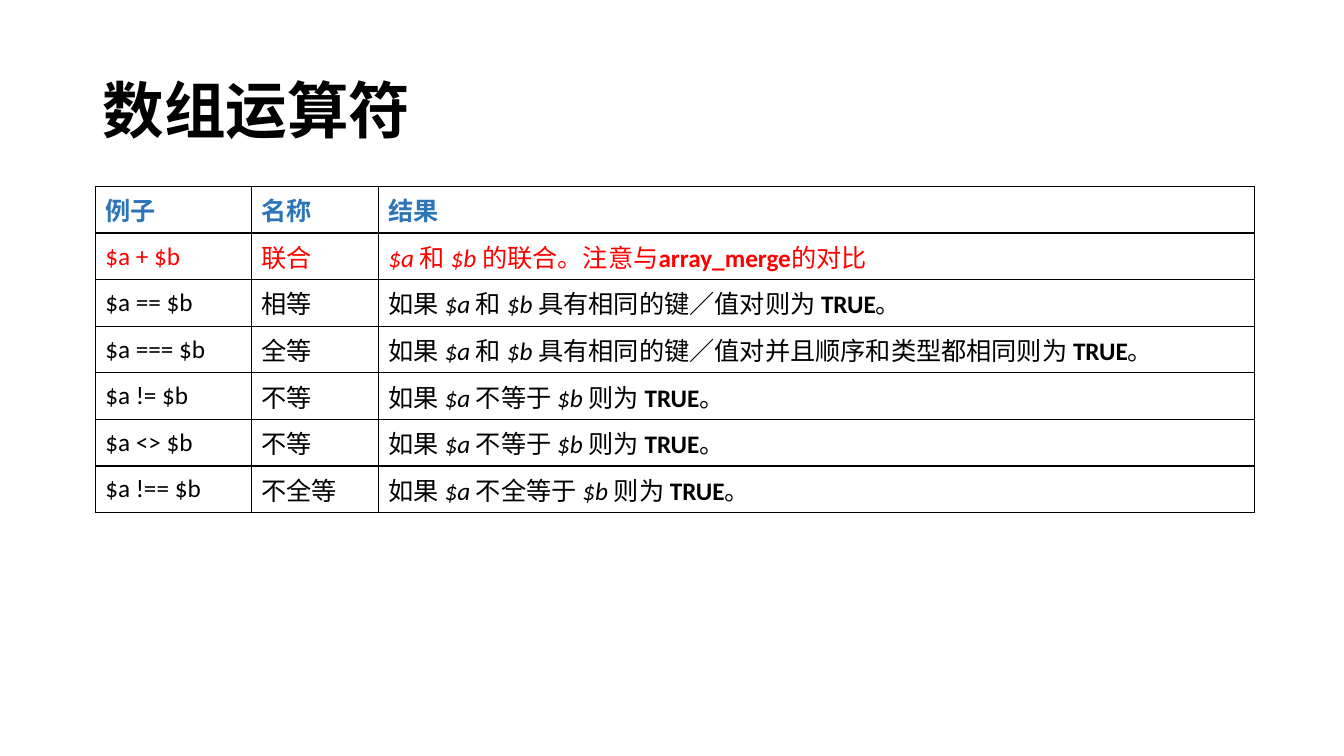
"""Build a slide with a table of the PHP array operators."""
import pptx
import pptx.dml.color
import pptx.enum.text
import pptx.oxml
import pptx.oxml.ns
import pptx.util

Pt = pptx.util.Pt

TITLE = "数组运算符"
HEADER = ("例子", "名称", ("结果",))
OPERATORS = [
    ("$a + $b", "联合", ("$a ", "和 ", "$b ", "的联合。注意与", "array_merge", "的对比")),
    ("$a == $b", "相等", ("如果 ", "$a ", "和 ", "$b ", "具有相同的键／值对则为 ", "TRUE", "。")),
    ("$a === $b", "全等",
     ("如果 ", "$a", " 和 ", "$b", " 具有相同的键／值对并且顺序和类型都相同则为 ", "TRUE", "。")),
    ("$a != $b", "不等", ("如果 ", "$a ", "不等于 ", "$b ", "则为 ", "TRUE", "。")),
    ("$a <> $b", "不等", ("如果 ", "$a ", "不等于 ", "$b ", "则为 ", "TRUE", "。")),
    ("$a !== $b", "不全等", ("如果 ", "$a ", "不全等于 ", "$b ", "则为 ", "TRUE", "。")),
]
BOLD_WORDS = ("TRUE", "array_merge")
COLORS = {"text": "000000", "header": "2E75B6", "highlight": "FF0000", "border": "000000"}
ROW_COLORS = ["header", "highlight"] + ["text"] * (len(OPERATORS) - 1)
FONT = "Calibri"
COLUMN_WIDTHS = (111.6, 90.7, 625.7)
ROW_HEIGHT = 28.8
BORDER_WIDTH = 1


def format_font(font, size, color, bold):
    font.name = FONT
    font.size = Pt(size)
    font.bold = bold
    font.color.rgb = pptx.dml.color.RGBColor.from_string(COLORS[color])


def add_borders(cell):
    properties = cell._tc.get_or_add_tcPr()
    for position, side in enumerate(("lnL", "lnR", "lnT", "lnB")):
        properties.insert(position, pptx.oxml.parse_xml(
            f'<a:{side} {pptx.oxml.ns.nsdecls("a")} w="{Pt(BORDER_WIDTH)}"><a:solidFill>'
            f'<a:srgbClr val="{COLORS["border"]}"/></a:solidFill></a:{side}>'))


def fill_cell(cell, runs, color, bold):
    cell.fill.background()
    add_borders(cell)
    cell.vertical_anchor = pptx.enum.text.MSO_ANCHOR.MIDDLE
    paragraph = cell.text_frame.paragraphs[0]
    format_font(paragraph.font, 18, color, bold)
    for text in runs:
        run = paragraph.add_run()
        run.text = text
        if len(runs) > 1:
            run.font.italic = text.startswith("$")
            run.font.bold = text in BOLD_WORDS


def add_title(slide):
    title = slide.shapes.title
    title.left, title.top, title.width, title.height = Pt(66), Pt(28.8), Pt(828), Pt(104.4)
    frame = title.text_frame
    frame.text = TITLE
    frame.auto_size = pptx.enum.text.MSO_AUTO_SIZE.NONE
    frame.vertical_anchor = pptx.enum.text.MSO_ANCHOR.MIDDLE
    paragraph = frame.paragraphs[0]
    paragraph.alignment = pptx.enum.text.PP_ALIGN.LEFT
    paragraph.line_spacing = 0.9
    format_font(paragraph.font, 44, "text", True)


def add_operator_table(slide):
    rows = [HEADER] + OPERATORS
    table = slide.shapes.add_table(
        len(rows), len(COLUMN_WIDTHS), Pt(68), Pt(133.2),
        Pt(sum(COLUMN_WIDTHS)), Pt(ROW_HEIGHT * len(rows))).table
    table.horz_banding = False
    for column, width in zip(table.columns, COLUMN_WIDTHS):
        column.width = Pt(width)
    for row_index, (example, name, result) in enumerate(rows):
        for column_index, runs in enumerate(((example,), (name,), result)):
            fill_cell(table.cell(row_index, column_index), runs,
                      ROW_COLORS[row_index], row_index == 0)


def main():
    presentation = pptx.Presentation()
    presentation.slide_width, presentation.slide_height = Pt(960), Pt(540)
    slide = presentation.slides.add_slide(presentation.slide_layouts[5])
    add_title(slide)
    add_operator_table(slide)
    presentation.save("out.pptx")


if __name__ == "__main__":
    main()
